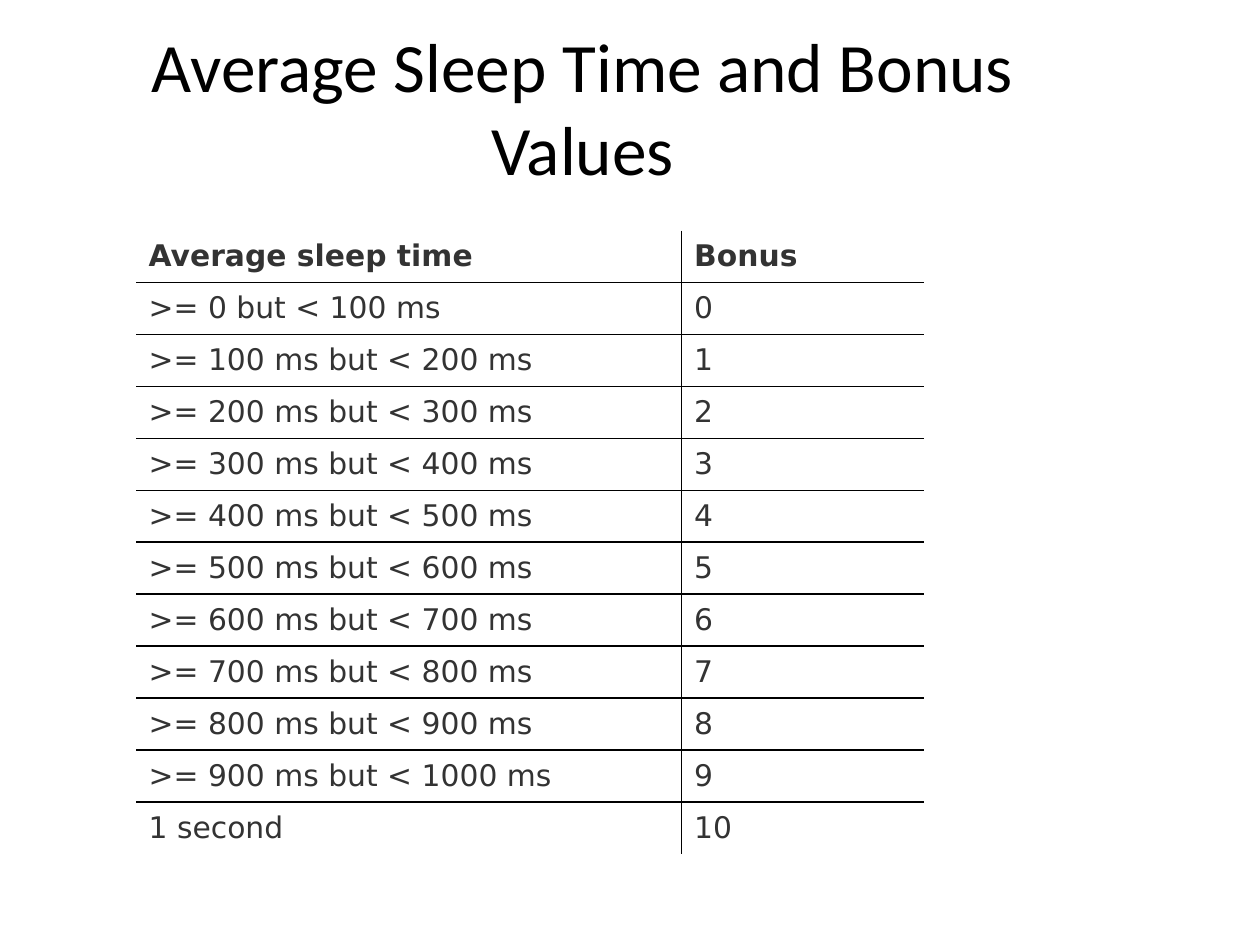
from lxml import etree
from pptx import Presentation
from pptx.dml.color import RGBColor
from pptx.enum.text import MSO_ANCHOR, PP_ALIGN
from pptx.oxml.ns import qn
from pptx.util import Inches, Pt

MIDDLE = MSO_ANCHOR.MIDDLE
CENTER = PP_ALIGN.CENTER
BLACK = "000000"
GRAY = "333333"
HEAD = ("Average sleep time", "Bonus")
SPANS = [f">= {n * 100} ms but < {n * 100 + 100} ms" for n in range(1, 10)]
TIMES = [">= 0 but < 100 ms", *SPANS, "1 second"]
ROWS = [HEAD] + [(time, str(bonus)) for bonus, time in enumerate(TIMES)]


def style(font, name, size, color, bold=False):
    """Set the face, size, colour and weight of a font."""
    font.name = name
    font.size = Pt(size)
    font.bold = bold
    font.color.rgb = RGBColor.from_string(color)


def edge(cell, side, shown):
    """Draw or hide one border of a cell."""
    line = etree.SubElement(cell._tc.get_or_add_tcPr(), qn(f"a:ln{side}"), w=str(Pt(1)))
    if shown:
        fill = etree.SubElement(line, qn("a:solidFill"))
        etree.SubElement(fill, qn("a:srgbClr"), val=BLACK)
    else:
        etree.SubElement(line, qn("a:noFill"))


def add_title(slide, text, left, top, width, height):
    """Place the centred title in its box."""
    frame = slide.shapes.add_textbox(left, top, width, height).text_frame
    frame.word_wrap = True
    frame.vertical_anchor = MIDDLE
    frame.text = text
    para = frame.paragraphs[0]
    para.alignment = CENTER
    style(para.runs[0].font, "Calibri", 39.6, BLACK)


def fill_cell(cell, text, bold):
    """Write one cell with a hanging indent and no fill."""
    cell.fill.background()
    cell.vertical_anchor = MIDDLE
    cell.text = text
    para = cell.text_frame.paragraphs[0]
    props = para._p.get_or_add_pPr()
    props.set("marL", str(Inches(0.38)))
    props.set("indent", str(Inches(-0.38)))
    style(para.runs[0].font, "DejaVu Sans", 17, GRAY, bold)


def add_grid(slide, rows, widths, left, top, width, height):
    """Place the table with inner rules only."""
    last, end = len(rows) - 1, len(widths) - 1
    table = slide.shapes.add_table(len(rows), len(widths), left, top, width, height).table
    table.first_row = False
    table.horz_banding = False
    for col, size in zip(table.columns, widths):
        col.width = size
    for r, row in enumerate(rows):
        for c, text in enumerate(row):
            cell = table.cell(r, c)
            sides = {"L": c > 0, "R": c < end, "T": r > 0, "B": r < last}
            for side, shown in sides.items():
                edge(cell, side, shown)
            fill_cell(cell, text, r == 0)


def main():
    """Build and save the slide."""
    deck = Presentation()
    deck.slide_width = Inches(10)
    deck.slide_height = Inches(7.5)
    slide = deck.slides.add_slide(deck.slide_layouts[6])
    add_title(slide, "Average Sleep Time and Bonus Values",
              Inches(0.5), Inches(0.13), Inches(8.25), Inches(1.42))
    add_grid(slide, ROWS, (Inches(4.33), Inches(1.92)),
             Inches(1.08), Inches(1.83), Inches(6.25), Inches(4.95))
    deck.save("out.pptx")


if __name__ == "__main__":
    main()
